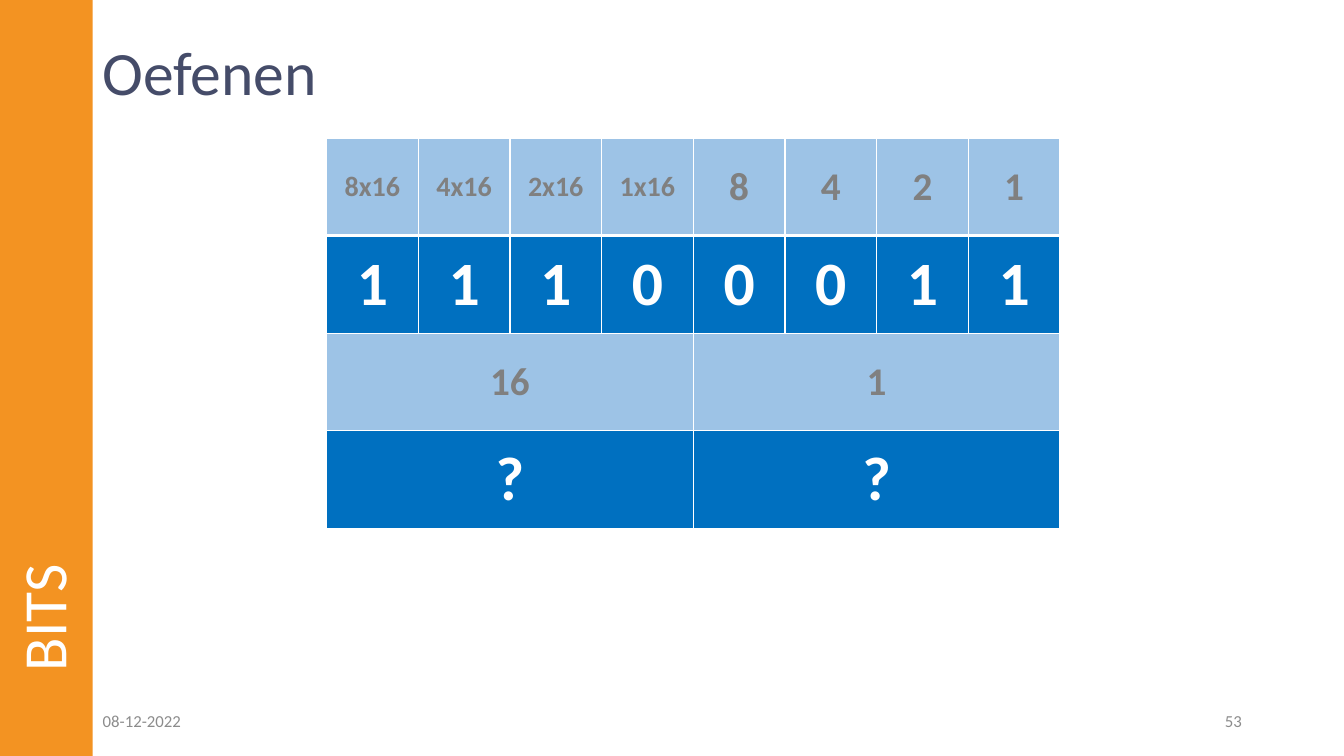
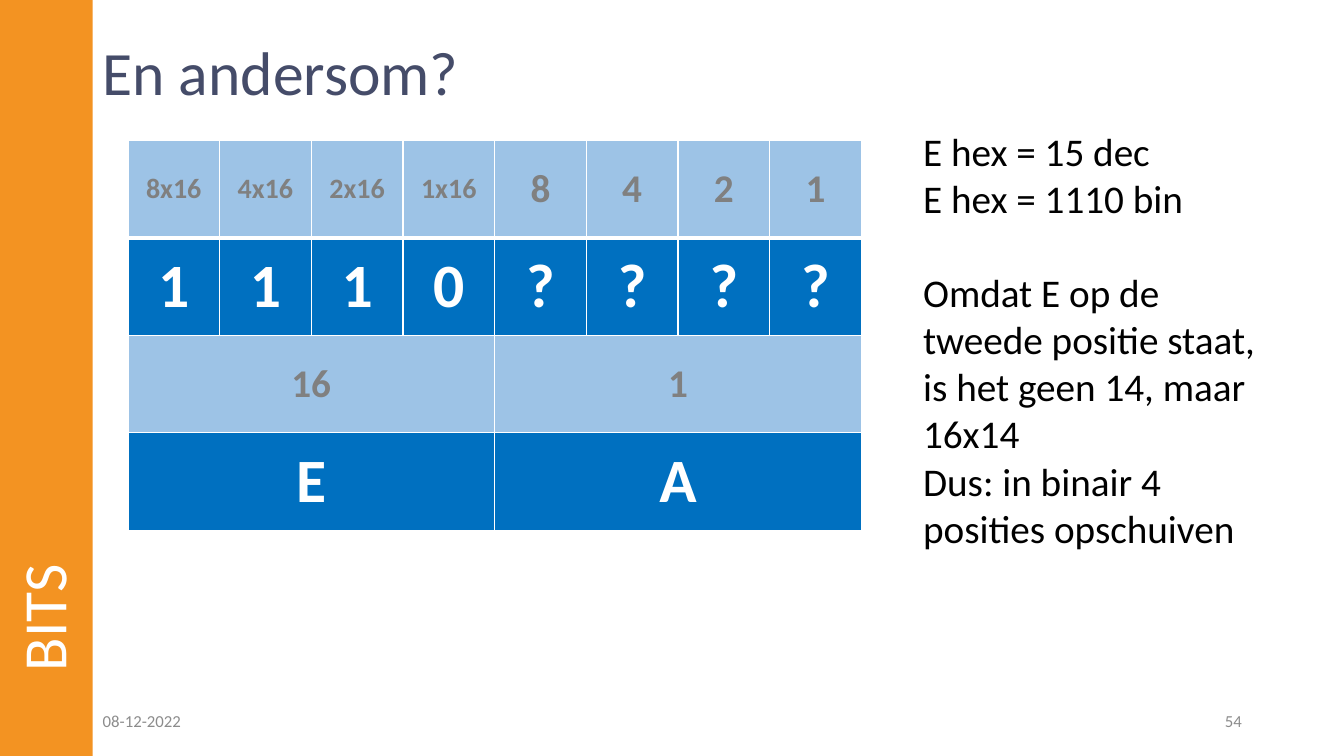
from dataclasses import dataclass
from typing import Optional

from lxml import etree
from pptx import Presentation
from pptx.dml.color import RGBColor
from pptx.enum.shapes import MSO_SHAPE
from pptx.enum.text import MSO_ANCHOR, PP_ALIGN
from pptx.oxml.ns import qn
from pptx.util import Pt

RECT = MSO_SHAPE.RECTANGLE
LEFT, CENTER, RIGHT = PP_ALIGN.LEFT, PP_ALIGN.CENTER, PP_ALIGN.RIGHT
TOP, MIDDLE = MSO_ANCHOR.TOP, MSO_ANCHOR.MIDDLE


@dataclass(frozen=True)
class Theme:
    font: str = "Calibri"
    band: str = "F39322"
    title: str = "454C69"
    footer: str = "8C8C8C"
    weight_fill: str = "9DC3E6"
    weight_text: str = "808080"
    value_fill: str = "0070C0"
    white: str = "FFFFFF"
    black: str = "000000"
    large: float = 44
    body: float = 28
    small: float = 20
    footer_size: float = 12


@dataclass(frozen=True)
class Box:
    left: float
    top: float
    width: float
    height: float

    def lengths(self) -> tuple:
        return Pt(self.left), Pt(self.top), Pt(self.width), Pt(self.height)


@dataclass(frozen=True)
class Line:
    text: str
    space_before: float = 0


@dataclass(frozen=True)
class Exercise:
    title: str
    number: int
    left: float
    top: float
    bits: str
    digits: str
    notes: tuple = ()


THEME = Theme()
SLIDE_W, SLIDE_H = 960, 540
BAND = Box(0, 0, 66.24, SLIDE_H)
TITLE = Box(66.24, 23, 828, 62)
DATE = Box(66.24, 500.4, 216, 28.8)
NUMBER = Box(678.24, 500.4, 216, 28.8)
SECTION = Box(-210.24, 210.24, 486.72, 66.24)
NOTES = Box(652.3, 87.1, 254.2, 312.5)
COLUMN_W, ROW_H = 65.5, 69.7
THIN, THICK = 1, 3
BIT_WEIGHTS = ("8x16", "4x16", "2x16", "1x16", "8", "4", "2", "1")
HEX_WEIGHTS = ("16", "1")

EXERCISES = (
    Exercise("Oefenen", 53, 233.3, 98.6, "11100011", "??"),
    Exercise("En andersom?", 54, 91.4, 100.1, "1110????", "EA", (
        Line("E hex = 15 dec"),
        Line("E hex = 1110 bin"),
        Line("Omdat E op de tweede positie staat, is het geen 14, maar 16x14", 34),
        Line("Dus: in binair 4 posities opschuiven"),
    )),
)


def write_text(tf, *lines: Line, size: float, color: str, bold: bool = False,
               align=LEFT, anchor=MIDDLE, spacing: Optional[float] = None) -> None:
    tf.word_wrap = True
    tf.vertical_anchor = anchor
    for i, line in enumerate(lines):
        p = tf.add_paragraph() if i else tf.paragraphs[0]
        p.alignment = align
        p.line_spacing = spacing
        p.space_before = Pt(line.space_before)
        r = p.add_run()
        r.text = line.text
        r.font.name = THEME.font
        r.font.size = Pt(size)
        r.font.bold = bold
        r.font.color.rgb = RGBColor.from_string(color)


def add_text(slide, box: Box, *lines: Line, rotation: float = 0, **style) -> None:
    sp = slide.shapes.add_textbox(*box.lengths())
    sp.rotation = rotation
    write_text(sp.text_frame, *lines, **style)


def set_borders(cell, row: int) -> None:
    tcPr = cell._tc.get_or_add_tcPr()
    widths = {"lnL": THIN, "lnR": THIN,
              "lnT": THICK if row == 1 else THIN,
              "lnB": THICK if row == 0 else THIN}
    for tag, width in widths.items():
        ln = etree.SubElement(tcPr, qn(f"a:{tag}"), w=str(Pt(width)))
        fill = etree.SubElement(ln, qn("a:solidFill"))
        etree.SubElement(fill, qn("a:srgbClr"), val=THEME.white)


def add_frame(slide, ex: Exercise) -> None:
    sp = slide.shapes.add_shape(RECT, *BAND.lengths())
    sp.shadow.inherit = False
    sp.fill.solid()
    sp.fill.fore_color.rgb = RGBColor.from_string(THEME.band)
    sp.line.fill.background()
    add_text(slide, TITLE, Line(ex.title), size=THEME.large, color=THEME.title, spacing=0.9)
    footer = {"size": THEME.footer_size, "color": THEME.footer}
    add_text(slide, DATE, Line("08-12-2022"), **footer)
    add_text(slide, NUMBER, Line(str(ex.number)), align=RIGHT, **footer)
    add_text(slide, SECTION, Line("BITS"), rotation=270, size=THEME.large,
             color=THEME.white, spacing=0.9)


def add_bit_table(slide, ex: Exercise) -> None:
    rows = (BIT_WEIGHTS, ex.bits, HEX_WEIGHTS, ex.digits)
    columns = len(BIT_WEIGHTS)
    box = Box(ex.left, ex.top, columns * COLUMN_W, len(rows) * ROW_H)
    table = slide.shapes.add_table(len(rows), columns, *box.lengths()).table
    table.first_row = table.horz_banding = False
    for column in table.columns:
        column.width = Pt(COLUMN_W)
    for i, texts in enumerate(rows):
        table.rows[i].height = Pt(ROW_H)
        is_value = i % 2 == 1
        fill = THEME.value_fill if is_value else THEME.weight_fill
        color = THEME.white if is_value else THEME.weight_text
        for j in range(columns):
            cell = table.cell(i, j)
            set_borders(cell, i)
            cell.fill.solid()
            cell.fill.fore_color.rgb = RGBColor.from_string(fill)
        span = columns // len(texts)
        for j, text in enumerate(texts):
            cell = table.cell(i, j * span)
            if span > 1:
                cell.merge(table.cell(i, (j + 1) * span - 1))
            cell.vertical_anchor = MIDDLE
            weight_size = THEME.small if "x" in text else THEME.body
            write_text(cell.text_frame, Line(text), bold=True, align=CENTER, color=color,
                       size=THEME.large if is_value else weight_size)


def main() -> None:
    prs = Presentation()
    prs.slide_width, prs.slide_height = Pt(SLIDE_W), Pt(SLIDE_H)
    blank = prs.slide_layouts[6]
    for ex in EXERCISES:
        slide = prs.slides.add_slide(blank)
        add_frame(slide, ex)
        add_bit_table(slide, ex)
        if ex.notes:
            add_text(slide, NOTES, *ex.notes, size=THEME.body, color=THEME.black, anchor=TOP)
    prs.save("out.pptx")


if __name__ == "__main__":
    main()
